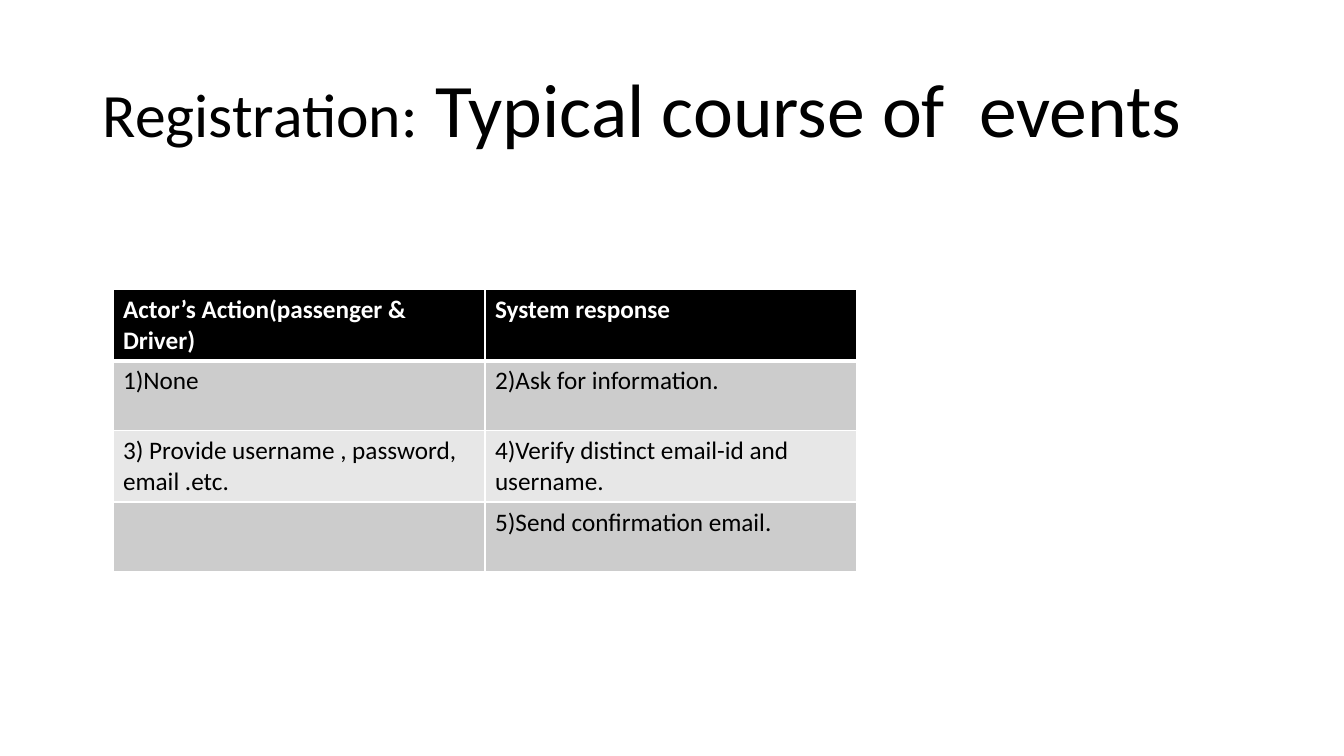
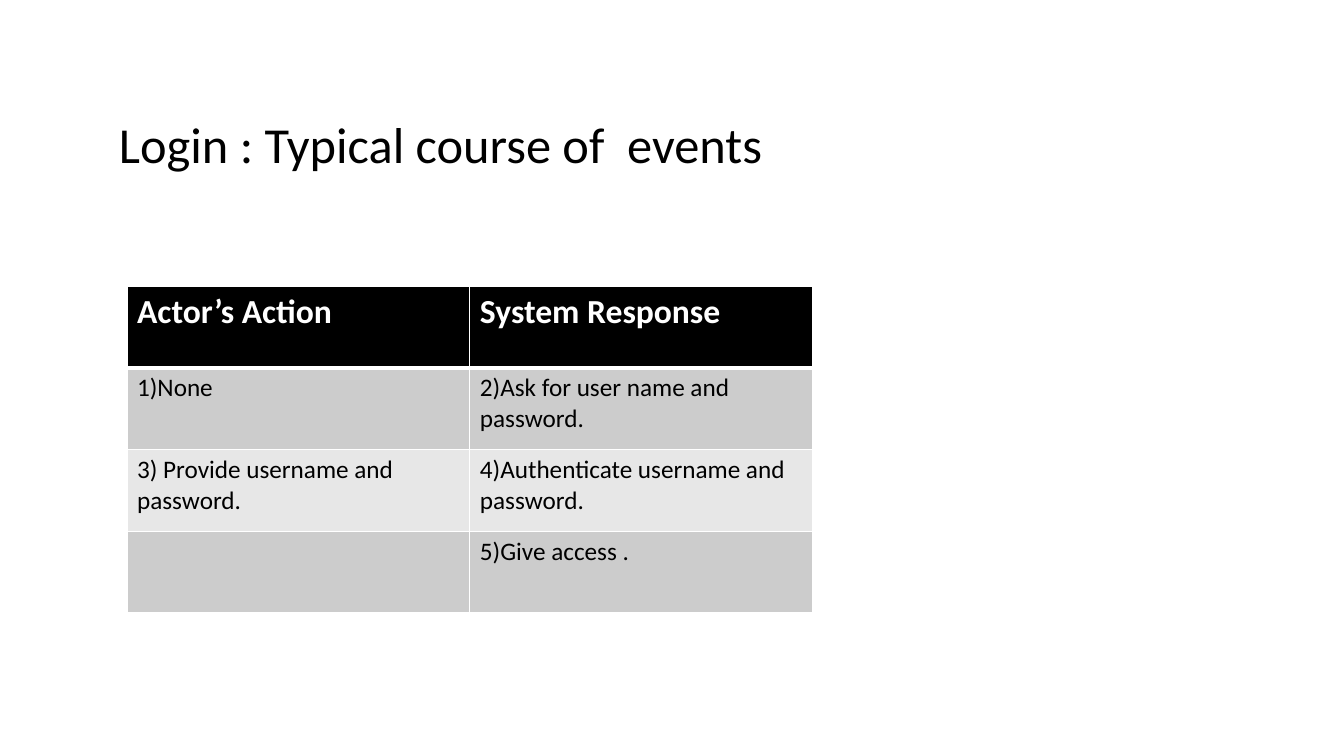
from lxml.etree import SubElement
from pptx import Presentation
from pptx.dml.color import RGBColor
from pptx.enum.text import MSO_ANCHOR, MSO_AUTO_SIZE, PP_ALIGN
from pptx.oxml.ns import qn
from pptx.util import Inches, Pt

FONT = "Calibri"
COLORS = {
    "text": "000000",
    "header": "000000",
    "header_text": "FFFFFF",
    "odd_row": "CCCCCC",
    "even_row": "E7E7E7",
    "border": "FFFFFF",
}

SLIDES = [
    {
        "title": [("Registration:", 44), (" Typical course of  events", 54)],
        "title_at": (0.92, 0.4, 11.5, 1.45),
        "title_anchor": MSO_ANCHOR.MIDDLE,
        "title_spacing": 0.9,
        "table_at": (1.12, 2.87),
        "column_width": 3.69,
        "row_height": 0.69,
        "header_size": 18,
        "rows": [
            ("Actor’s Action(passenger & Driver)", "System response"),
            ("1)None", "2)Ask for information."),
            ("3) Provide username , password, email .etc.",
             "4)Verify distinct email-id and username."),
            ("", "5)Send confirmation email."),
        ],
    },
    {
        "title": [("Login : Typical course of  events", 36)],
        "title_at": (1.08, 1.07, 8.37, 0.71),
        "title_anchor": MSO_ANCHOR.TOP,
        "title_spacing": 1.0,
        "table_at": (1.26, 2.84),
        "column_width": 3.4,
        "row_height": 0.81,
        "header_size": 24,
        "rows": [
            ("Actor’s Action", "System Response"),
            ("1)None", "2)Ask for user name and password."),
            ("3) Provide username and password.",
             "4)Authenticate username and password."),
            ("", "5)Give access ."),
        ],
    },
]


def add_span(para, text, size, color, bold=False):
    span = para.add_run()
    span.text = text
    span.font.name = FONT
    span.font.size = Pt(size)
    span.font.bold = bold
    span.font.color.rgb = RGBColor.from_string(color)


def add_borders(cell, top, bottom):
    """Draw all four sides, with top and bottom widths in points; call before filling."""
    properties = cell._tc.get_or_add_tcPr()
    for side, width in (("L", 1), ("R", 1), ("T", top), ("B", bottom)):
        line = SubElement(properties, qn(f"a:ln{side}"), w=str(Pt(width)))
        fill = SubElement(line, qn("a:solidFill"))
        SubElement(fill, qn("a:srgbClr"), val=COLORS["border"])


deck = Presentation()
deck.slide_width = Inches(13.33)
deck.slide_height = Inches(7.5)
title_only = deck.slide_layouts[5]

for content in SLIDES:
    page = deck.slides.add_slide(title_only)

    title = page.shapes.title
    title.left, title.top, title.width, title.height = map(Inches, content["title_at"])
    frame = title.text_frame
    frame.word_wrap = True
    frame.auto_size = MSO_AUTO_SIZE.NONE
    frame.vertical_anchor = content["title_anchor"]
    para = frame.paragraphs[0]
    para.alignment = PP_ALIGN.LEFT
    para.line_spacing = content["title_spacing"]
    for text, size in content["title"]:
        add_span(para, text, size, COLORS["text"])

    rows = content["rows"]
    left, top = map(Inches, content["table_at"])
    width = Inches(content["column_width"])
    height = Inches(content["row_height"])
    table = page.shapes.add_table(
        len(rows), 2, left, top, width * 2, height * len(rows)).table
    for column in table.columns:
        column.width = width
    for r, texts in enumerate(rows):
        table.rows[r].height = height
        is_header = r == 0
        if is_header:
            fill, color, size = COLORS["header"], COLORS["header_text"], content["header_size"]
        else:
            fill = COLORS["odd_row" if r % 2 else "even_row"]
            color, size = COLORS["text"], 18
        for c, text in enumerate(texts):
            cell = table.cell(r, c)
            add_borders(cell, top=3 if r == 1 else 1, bottom=3 if is_header else 1)
            cell.fill.solid()
            cell.fill.fore_color.rgb = RGBColor.from_string(fill)
            if text:
                add_span(cell.text_frame.paragraphs[0], text, size, color, is_header)

deck.save("out.pptx")
